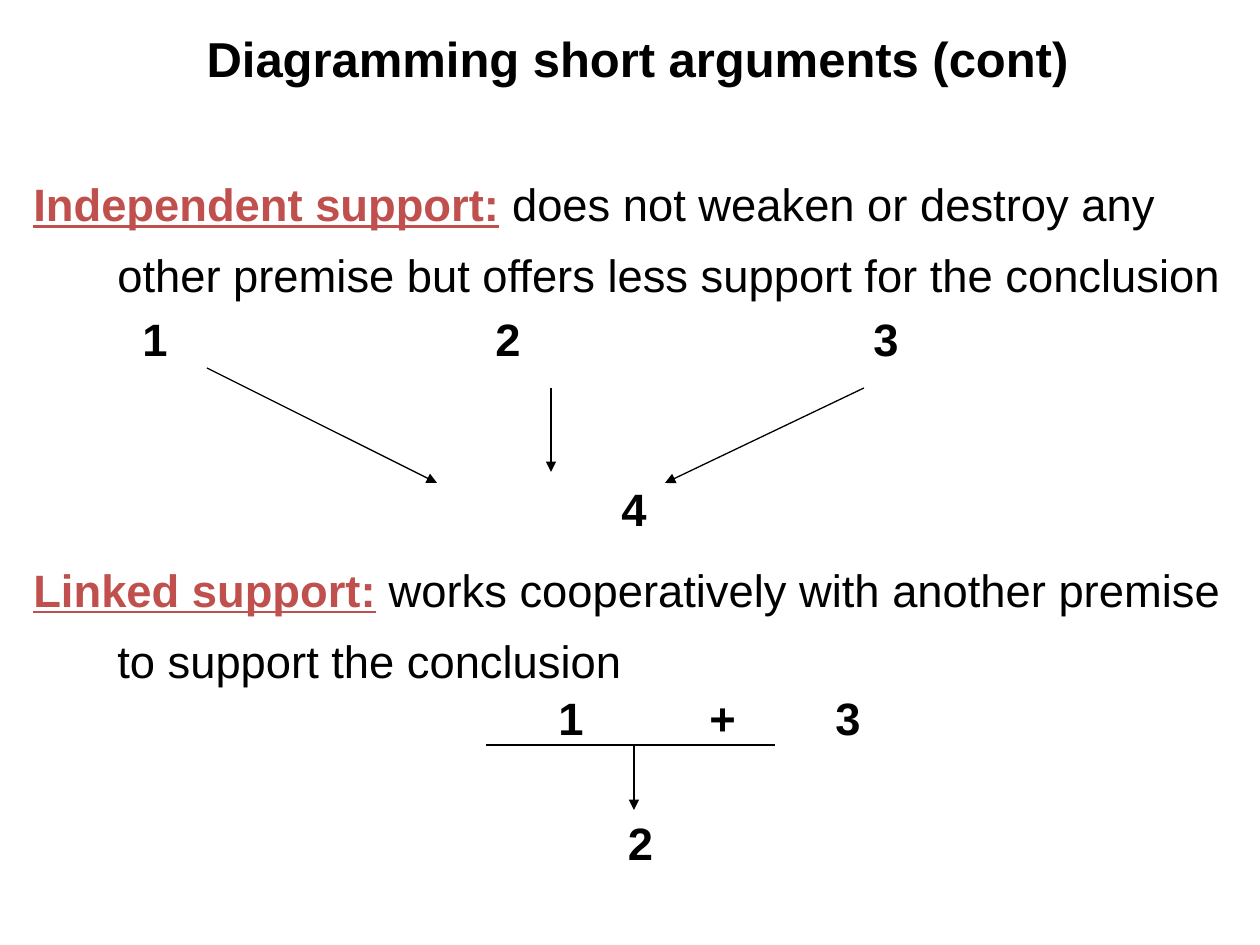
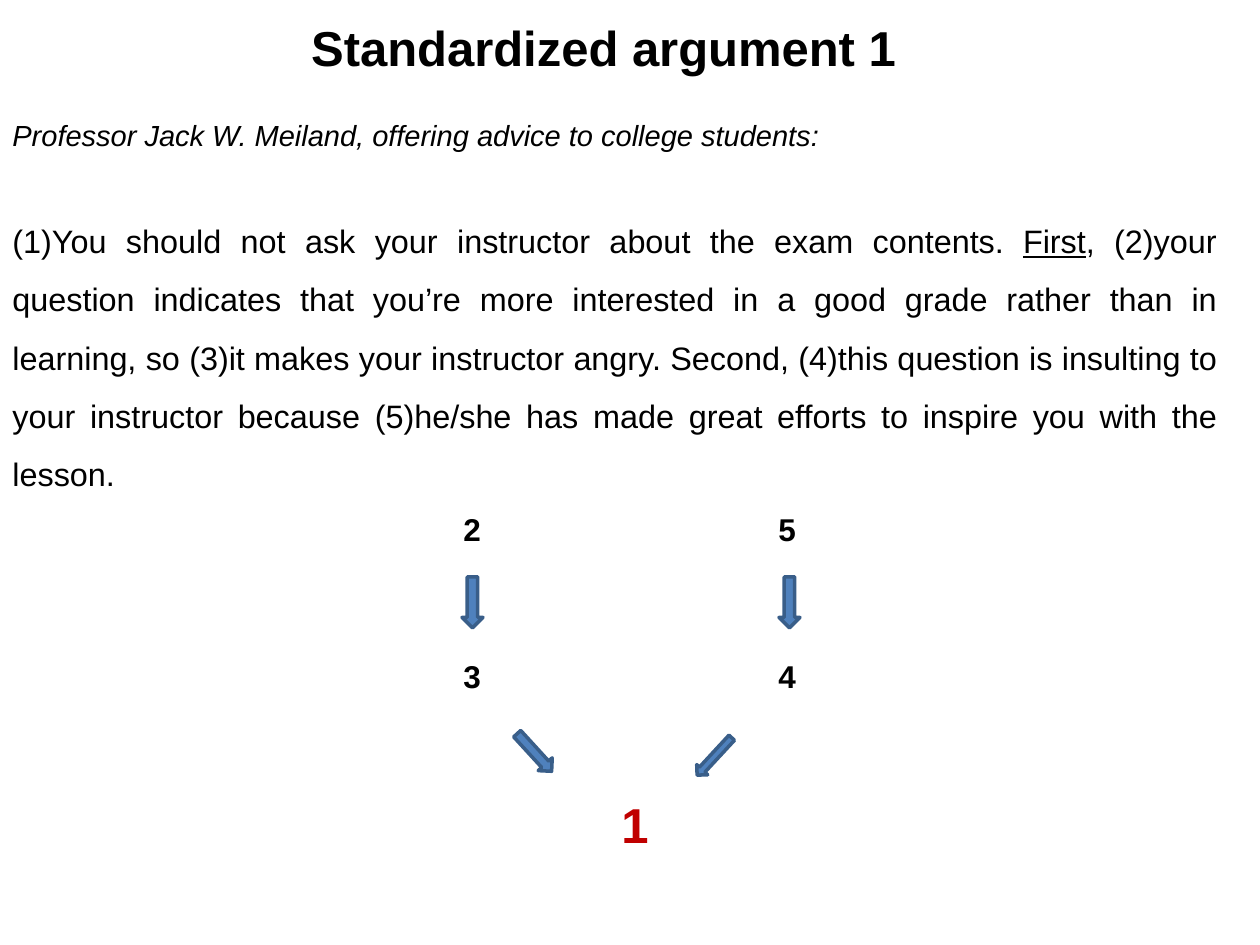
"""Build two slides on diagramming short arguments."""
from lxml import etree
from pptx import Presentation, util as u
from pptx.dml.color import RGBColor
from pptx.enum import shapes, text
from pptx.oxml import ns

PX = u.Inches(1) // 126
FONT = "Arial"
COLORS = {
    "ink": "000000",
    "term": "C0504D",
    "conclusion": "C00000",
    "arrow": "4F81BD",
    "arrow_edge": "395E89",
}
TITLE_SIZE, BODY_SIZE, QUOTE_SIZE, NODE_SIZE = 28, 25.9, 18.5, 18
ALIGN = text.PP_ALIGN


def px(*lengths):
    """Turn pixel lengths into EMU."""
    return [round(length * PX) for length in lengths]


def rgb(name):
    """Look up a named colour."""
    return RGBColor.from_string(COLORS[name])


def add_box(s, box, anchor=text.MSO_ANCHOR.TOP):
    """Add a wrapping text box and return its text frame."""
    tf = s.shapes.add_textbox(*px(*box)).text_frame
    tf.word_wrap = True
    tf.vertical_anchor = anchor
    return tf


def add_run(p, words, size, color="ink", bold=False, italic=False, underline=False):
    """Add one formatted run to a paragraph."""
    r = p.add_run()
    r.text = words
    font = r.font
    font.name, font.size = FONT, u.Pt(size)
    font.bold, font.italic, font.underline = bold, italic, underline
    font.color.rgb = rgb(color)


def add_paragraph(tf, align=ALIGN.LEFT, spacing=1.0, before=0, hanging=0, tabs=()):
    """Start a paragraph, using the empty first one when it is free."""
    first = tf.paragraphs[0]
    p = tf.add_paragraph() if first.runs else first
    pPr = p._p.get_or_add_pPr()
    if hanging:
        indent = px(hanging)[0]
        pPr.set("marL", str(indent))
        pPr.set("indent", str(-indent))
    if tabs:
        tab_list = etree.SubElement(pPr, ns.qn("a:tabLst"))
        for pos in px(*tabs):
            etree.SubElement(tab_list, ns.qn("a:tab"), pos=str(pos), algn="l")
    p.alignment, p.line_spacing = align, spacing
    if before:
        p.space_before = u.Pt(before)
    return p


def add_title(s, words, box):
    """Add the centred bold slide title."""
    tf = add_box(s, box, text.MSO_ANCHOR.MIDDLE)
    add_run(add_paragraph(tf, ALIGN.CENTER), words, TITLE_SIZE, bold=True)


def add_definition(tf, term, meaning, before=0):
    """Add a highlighted term followed by its meaning."""
    p = add_paragraph(tf, spacing=1.3, before=before, hanging=84)
    add_run(p, term, BODY_SIZE, "term", bold=True, underline=True)
    add_run(p, " " + meaning, BODY_SIZE)


def add_premises(tf, labels, tabs, spacing, before=5.2):
    """Add a row of premise labels, one at each tab stop."""
    p = add_paragraph(tf, spacing=spacing, before=before, tabs=tabs)
    add_run(p, "".join("\t" + label for label in labels), BODY_SIZE, bold=True)


def add_line(s, start, end, arrow=True):
    """Add a thin line, with an arrowhead at its end by default."""
    line = s.shapes.add_connector(shapes.MSO_CONNECTOR.STRAIGHT, *px(*start, *end))
    line.line.color.rgb, line.line.width = rgb("ink"), u.Pt(0.75)
    if arrow:
        etree.SubElement(line.line._get_or_add_ln(), ns.qn("a:tailEnd"), type="triangle")
    etree.SubElement(line._element.spPr, ns.qn("a:effectLst"))


def add_block_arrow(s, box, rotation=0):
    """Add a filled down arrow turned by a rotation in degrees."""
    sp = s.shapes.add_shape(shapes.MSO_SHAPE.DOWN_ARROW, *px(*box))
    sp.rotation, sp.shadow.inherit = rotation, False
    sp.fill.solid()
    sp.fill.fore_color.rgb = rgb("arrow")
    sp.line.color.rgb, sp.line.width = rgb("arrow_edge"), u.Pt(2)


def add_node(s, label, left, top, size=NODE_SIZE, color="ink", height=50):
    """Add a numbered statement of an argument diagram."""
    tf = add_box(s, (left, top, 63, height))
    add_run(add_paragraph(tf), label, size, color, bold=True)


def build_support_slide(s):
    """Define independent and linked support and diagram both."""
    tf = add_box(s, (21, 154, 1239, 756))
    add_definition(tf, "Independent support:", "does not weaken or destroy any other "
                   "premise but offers less support for the conclusion")
    add_premises(tf, "123", (109, 462, 840), 1.0)
    add_premises(tf, "4", (588,), 0.9, before=70)
    add_definition(tf, "Linked support:", "works cooperatively with another premise "
                   "to support the conclusion", before=5.2)
    add_premises(tf, "1+3", (525, 676, 802), 0.9)
    p = add_paragraph(tf, ALIGN.CENTER, before=40)
    add_run(p, "2", BODY_SIZE, bold=True)
    for start, end in (((207, 368), (437, 483)), ((551, 388), (551, 472)),
                       ((864, 388), (665, 483)), ((634, 745), (634, 810))):
        add_line(s, start, end)
    add_line(s, (486, 745), (775, 745), arrow=False)
    add_title(s, "Diagramming short arguments (cont)", (60, 0, 1155, 116))


def build_argument_slide(s):
    """Show a numbered argument and its diagram."""
    tf = add_box(s, (0, 107, 1229, 415))
    p = add_paragraph(tf, ALIGN.JUSTIFY, 0.9)
    add_run(p, "Professor Jack W. Meiland, offering advice to college students:",
            16.6, italic=True)
    add_run(p, " ", 22.2)
    p = add_paragraph(tf, ALIGN.JUSTIFY, 1.5, before=26.5)
    add_run(p, "(1)You should not ask your instructor about the exam contents. ", QUOTE_SIZE)
    add_run(p, "First", QUOTE_SIZE, underline=True)
    add_run(p, ", (2)your question indicates that you’re more interested in a good grade "
            "rather than in learning, so (3)it makes your instructor angry. Second, "
            "(4)this question is insulting to your instructor because (5)he/she has made "
            "great efforts to inspire you with the lesson.", QUOTE_SIZE)
    for left, arrow_left, premise, reason in ((451, 462, "2", "3"), (766, 779, "5", "4")):
        add_node(s, premise, left, 504)
        add_block_arrow(s, (arrow_left, 577, 21, 51))
        add_node(s, reason, left, 651)
    add_block_arrow(s, (525, 727, 19, 51), 317.5)
    add_block_arrow(s, (707, 731, 15, 51), 42.8)
    add_node(s, "1", 609, 788, TITLE_SIZE, "conclusion", 72)
    add_title(s, "Standardized argument 1", (0, 10, 1207, 73))


def main():
    """Build and save the slides."""
    prs = Presentation()
    prs.slide_width, prs.slide_height = px(1260, 945)
    for build in (build_support_slide, build_argument_slide):
        build(prs.slides.add_slide(prs.slide_layouts[6]))
    prs.save("out.pptx")


if __name__ == "__main__":
    main()
